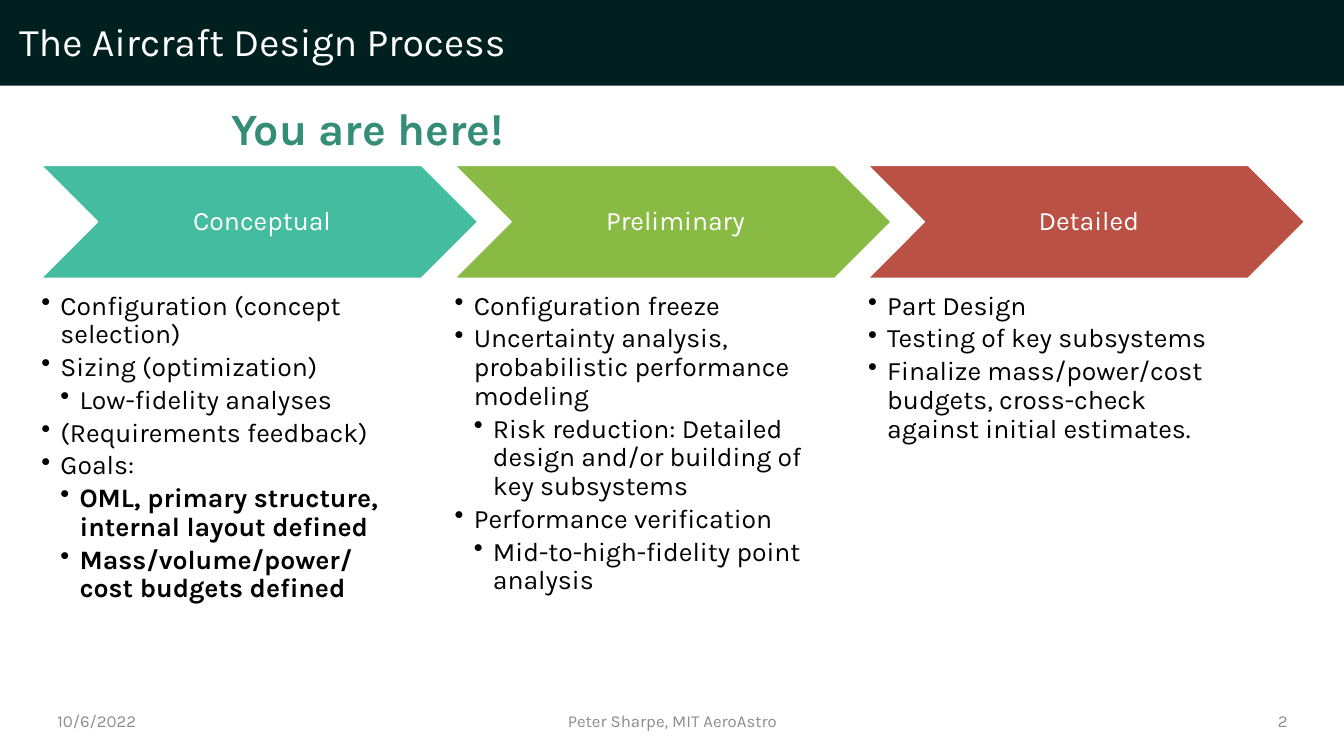
from lxml import etree
from pptx import Presentation
from pptx.dml.color import RGBColor
from pptx.enum.shapes import MSO_SHAPE
from pptx.enum.text import MSO_ANCHOR, PP_ALIGN
from pptx.oxml.ns import qn
from pptx.util import Inches, Pt

LEFT, CENTER, RIGHT = PP_ALIGN.LEFT, PP_ALIGN.CENTER, PP_ALIGN.RIGHT
TOP, MIDDLE = MSO_ANCHOR.TOP, MSO_ANCHOR.MIDDLE
BULLET_INDENT = 0.19
GRAY = "8C8C8C"


def color(hex_code):
    return RGBColor.from_string(hex_code)


def write(shape, items, size, fill, align=LEFT, anchor=MIDDLE, bold=False,
          line_spacing=1.0, space_after=0, insets=(0.1, 0.05, 0.1, 0.05)):
    """Fill a shape with (text, bullet level, bold) items, or with one plain string."""
    if isinstance(items, str):
        items = [(items, 0, bold)]
    frame = shape.text_frame
    frame.word_wrap = True
    frame.vertical_anchor = anchor
    frame.margin_left, frame.margin_top, frame.margin_right, frame.margin_bottom = map(Inches, insets)
    for index, (text, level, is_bold) in enumerate(items):
        paragraph = frame.add_paragraph() if index else frame.paragraphs[0]
        paragraph.alignment = align
        paragraph.line_spacing = line_spacing
        paragraph.space_before = Pt(0)
        paragraph.space_after = Pt(space_after)
        if level:
            paragraph.level = level
            properties = paragraph._p.get_or_add_pPr()
            properties.set("marL", str(Inches(BULLET_INDENT * level)))
            properties.set("indent", str(-Inches(BULLET_INDENT)))
            etree.SubElement(properties, qn("a:buChar"), char="•")
        run = paragraph.add_run()
        run.text = text
        run.font.name = "Karla"
        run.font.size = Pt(size)
        run.font.bold = is_bold
        run.font.color.rgb = color(fill)


presentation = Presentation()
presentation.slide_width = Inches(13.33)
presentation.slide_height = Inches(7.5)
slide = presentation.slides.add_slide(presentation.slide_layouts[5])
shapes = slide.shapes

# Title on its dark band
band = shapes.add_shape(MSO_SHAPE.RECTANGLE, 0, 0, presentation.slide_width, Inches(0.85))
band.shadow.inherit = False
band.fill.solid()
band.fill.fore_color.rgb = color("002020")
band.line.fill.background()
title = shapes.title
title.element.addprevious(band.element)
title.left, title.top = Inches(0.09), Inches(0.16)
title.width, title.height = Inches(12.4), Inches(0.54)
write(title, "The Aircraft Design Process", 28, "FFFFFF", line_spacing=0.9)

# Design phases: a chevron above its bullet list
phases = [
    ("Conceptual", "44BC9F", [
        ("Configuration (concept selection)", 1, False),
        ("Sizing (optimization)", 1, False),
        ("Low-fidelity analyses", 2, False),
        ("(Requirements feedback)", 1, False),
        ("Goals:", 1, False),
        ("OML, primary structure, internal layout defined", 2, True),
        ("Mass/volume/power/cost budgets defined", 2, True),
    ]),
    ("Preliminary", "89BB44", [
        ("Configuration freeze", 1, False),
        ("Uncertainty analysis, probabilistic performance modeling", 1, False),
        ("Risk reduction: Detailed design and/or building of key subsystems", 2, False),
        ("Performance verification", 1, False),
        ("Mid-to-high-fidelity point analysis", 2, False),
    ]),
    ("Detailed", "BB5045", [
        ("Part Design", 1, False),
        ("Testing of key subsystems", 1, False),
        ("Finalize mass/power/cost budgets, cross-check against initial estimates.", 1, False),
    ]),
]
for index, (phase, fill, tasks) in enumerate(phases):
    left = Inches(0.41 + 4.1 * index)
    chevron = shapes.add_shape(MSO_SHAPE.CHEVRON, left, Inches(1.64), Inches(4.33), Inches(1.12))
    chevron.shadow.inherit = False
    chevron.fill.solid()
    chevron.fill.fore_color.rgb = color(fill)
    chevron.line.color.rgb = color("FFFFFF")
    chevron.line.width = Pt(1)
    write(chevron, phase, 19, "FFFFFF", align=CENTER, line_spacing=0.9,
          insets=(0.08, 0.03, 0.03, 0.03))
    task_list = shapes.add_textbox(left, Inches(2.9), Inches(3.47), Inches(3.27))
    write(task_list, tasks, 19, "000000", anchor=TOP, line_spacing=0.9,
          space_after=2.85, insets=(0, 0, 0, 0))

# Footer
footer = [
    ("10/6/2022", 0.47, 1.31, LEFT),
    ("Peter Sharpe, MIT AeroAstro", 1.92, 9.5, CENTER),
    ("2", 11.56, 1.31, RIGHT),
]
for text, left, width, align in footer:
    footer_box = shapes.add_textbox(Inches(left), Inches(6.95), Inches(width), Inches(0.4))
    write(footer_box, text, 12, GRAY, align=align)

marker = shapes.add_textbox(Inches(1.86), Inches(0.95), Inches(3.57), Inches(0.64))
write(marker, "You are here!", 32, "338D77", align=CENTER, anchor=TOP, bold=True)

presentation.save("out.pptx")
